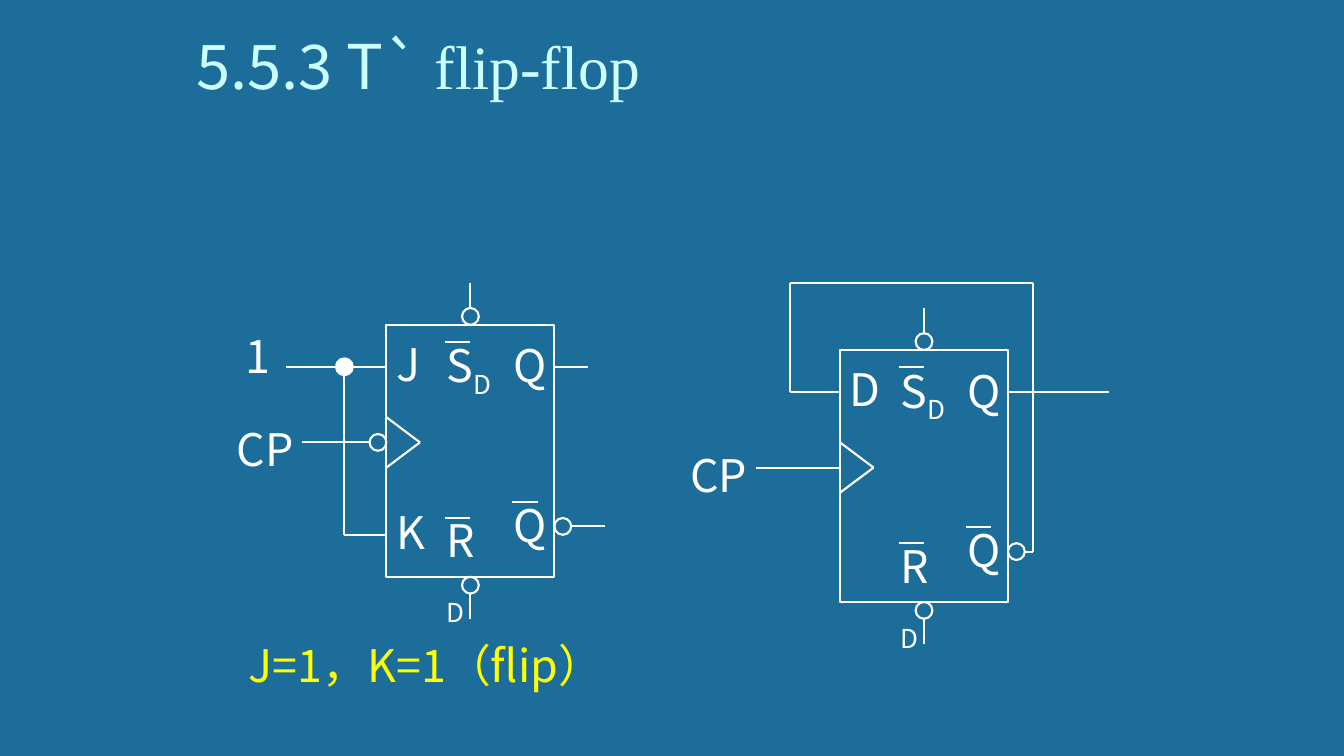
from lxml.etree import SubElement
from pptx import Presentation
from pptx.dml.color import RGBColor
from pptx.enum.shapes import MSO_CONNECTOR, MSO_SHAPE
from pptx.enum.text import MSO_ANCHOR, MSO_AUTO_SIZE
from pptx.oxml.ns import qn
from pptx.util import Pt

HEX = {"back": "1C6D9A", "ink": "FFFFFF", "note": "FFFF00", "title": "CCFFFF"}
SANS, SERIF = "Noto Sans CJK SC", "Times New Roman"
SIZE = (960, 540)
BODY = (120, 180)
RING = 12

# Content: text as (words, font, is subscript) runs
TITLE = [("5.5.3 T` ", SANS, False), ("flip-flop", SERIF, False)]
NOTE = [("J=1，K=1（flip）", SANS, False)]

# Parts of every flip-flop, in points from the body's top left corner
RINGS = [(54, -12), (54, 180), (120, 138)]
WIRES = [
    (0, 66, 24, 84), (0, 102, 24, 84),      # clock wedge
    (60, -12, 60, -30), (60, 192, 60, 210),  # set and reset pins
    (42, 12, 60, 12), (42, 138, 60, 138), (90, 126.5, 108, 126.5),  # bars
]
LABELS = [
    ("Q", "", 84, 6, 30), ("Q", "", 84, 120, 30), ("CP", "", -114, 66, 72),
    ("S", "D", 36, 6, 66), ("R", "D", 36, 131, 41),
]

# Each flip-flop: corner and its own parts
FLOPS = [
    {"at": (600, 250), "rings": [], "dots": [],
     "wires": [(120, 30, 192, 30), (132, 144, 138, 144), (0, 84, -60, 84),
               (0, 30, -36, 30), (-36, 30, -36, -48),
               (-36, -48, 138, -48), (138, -48, 138, 144)],
     "labels": [("D", "", 0, 5, 30)]},
    {"at": (276, 232), "rings": [(-12, 78)], "dots": [(-36, 24)],
     "wires": [(120, 30, 144, 30), (132, 144, 156, 144), (-12, 84, -60, 84),
               (0, 30, -30, 30), (-30, 30, -72, 30),
               (-30, 30, -30, 150), (-30, 150, 0, 150)],
     "labels": [("J", "", 0, 5, 30), ("K", "", 0, 125, 30),
                ("1", "", -108, -1, 30)]},
]


def paint(part, key):
    part.solid()
    part.fore_color.rgb = RGBColor.from_string(HEX[key])


def shape(home, kind, x, y, w, h, full=False):
    item = home.add_shape(kind, Pt(x), Pt(y), Pt(w), Pt(h))
    item.shadow.inherit = False
    if full:
        paint(item.fill, "ink")
    else:
        item.fill.background()
    paint(item.line.fill, "ink")
    item.line.width = Pt(1.5)


def wire(home, x1, y1, x2, y2):
    item = home.add_connector(
        MSO_CONNECTOR.STRAIGHT, Pt(x1), Pt(y1), Pt(x2), Pt(y2))
    paint(item.line.fill, "ink")
    item.line.width = Pt(1.5)
    SubElement(item._element.spPr, qn("a:effectLst"))


def text(home, runs, x, y, w, h, size=32, key="ink", anchor=MSO_ANCHOR.TOP):
    frame = home.add_textbox(Pt(x), Pt(y), Pt(w), Pt(h)).text_frame
    look = {"word_wrap": True, "auto_size": MSO_AUTO_SIZE.NONE,
            "vertical_anchor": anchor}
    for name, value in look.items():
        setattr(frame, name, value)
    for words, face, low in runs:
        run = frame.paragraphs[0].add_run()
        run.text = words
        for name, value in {"size": Pt(size), "name": face}.items():
            setattr(run.font, name, value)
        paint(run.font.fill, key)
        props = run.font._element
        SubElement(props, qn("a:ea")).set("typeface", face)
        if low:
            props.set("baseline", "-25000")


def flop(home, spec):
    left, top = spec["at"]
    shape(home, MSO_SHAPE.RECTANGLE, left, top, *BODY)
    for x1, y1, x2, y2 in WIRES + spec["wires"]:
        wire(home, left + x1, top + y1, left + x2, top + y2)
    for rings, full in ((RINGS + spec["rings"], False), (spec["dots"], True)):
        for x, y in rings:
            shape(home, MSO_SHAPE.OVAL, left + x, top + y, RING, RING, full)
    for main, sub, x, y, w in LABELS + spec["labels"]:
        runs = [(main, SANS, False)]
        if sub:
            runs.append((sub, SANS, True))
        text(home, runs, left + x, top + y, w, 45)


def main():
    deck = Presentation()
    deck.slide_width, deck.slide_height = map(Pt, SIZE)
    slide = deck.slides.add_slide(deck.slide_layouts[6])
    paint(slide.background.fill, "back")

    # Circuits, one group each
    for spec in FLOPS:
        flop(slide.shapes.add_group_shape().shapes, spec)

    # Note and title
    text(slide.shapes, NOTE, 170.5, 452, 273, 46, key="note")
    text(slide.shapes, TITLE, 133, 16, 690, 60, 44, "title", MSO_ANCHOR.BOTTOM)
    deck.save("out.pptx")


if __name__ == "__main__":
    main()
